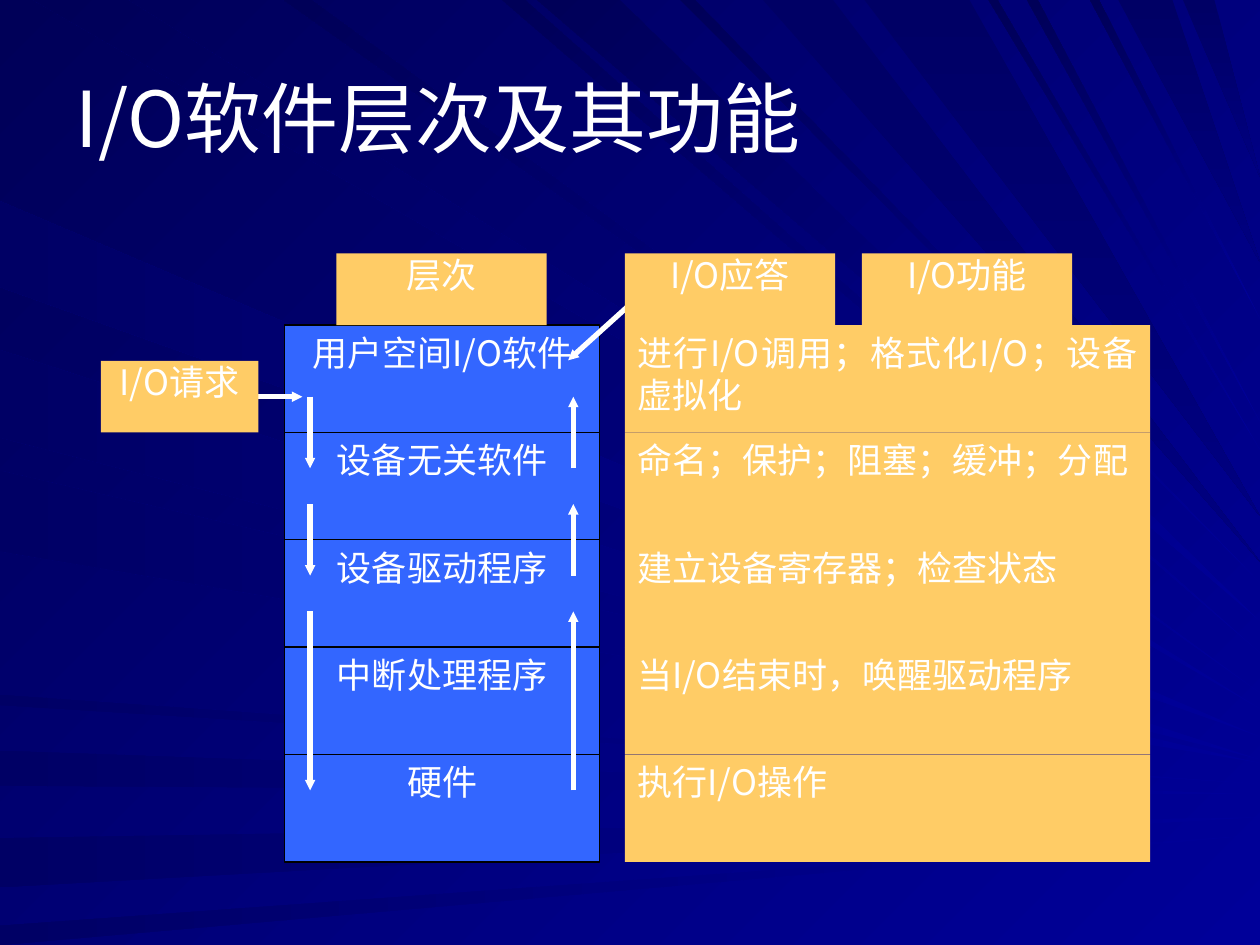
from dataclasses import dataclass
from typing import Optional

from lxml.etree import SubElement
from pptx import Presentation
from pptx.dml.color import RGBColor
from pptx.enum.shapes import MSO_CONNECTOR, MSO_SHAPE
from pptx.enum.text import MSO_ANCHOR, PP_ALIGN
from pptx.oxml.ns import qn
from pptx.util import Pt

COLOURS = {
    "text": "FFFFFF",
    "layer": "3366FF",
    "note": "FFCC66",
    "border": "000000",
    "bright": "000099",
    "navy": "000080",
    "dusk": "000065",
    "night": "000058",
}
TITLE_FONT = "Noto Sans CJK SC"
BODY_FONT = "Noto Sans CJK JP"

SLIDE_WIDTH, SLIDE_HEIGHT = 720, 540
ROW_TOP, ROW_HEIGHT = 185.8, 61.35
LAYER_LEFT, LAYER_WIDTH = 162.7, 180
NOTE_LEFT, NOTE_WIDTH = 357.1, 300.2
LABEL_HEIGHT, LABEL_WIDTH = 41, 120.2
DOWN_X, UP_X = 177.2, 327.6


@dataclass
class RayGroup:
    edge: str
    start: str
    end: str
    angle: int
    rays: list


@dataclass
class Box:
    text: str
    left: float
    top: float
    width: float
    height: float
    fill: str = "note"
    border: Optional[str] = None
    align: PP_ALIGN = PP_ALIGN.CENTER
    inset_x: float = 0
    inset_y: float = 0


@dataclass
class Arrow:
    x1: float
    y1: float
    x2: float
    y2: float


RAY_GROUPS = [
    RayGroup("top", "bright", "night", 135, [
        (19, 73, 405), (287, 300, 373), (307, 354, 355), (389, 397, 333),
        (162, 178, 396), (565, 570, 257), (587, 593, 241), (623, 628, 182),
    ]),
    RayGroup("left", "bright", "dusk", 180, [
        (115, 164, 421), (200, 250, 434), (269, 315, 436), (397, 403, 448),
        (429, 449, 454), (479, 507, 467), (529, 540, 477),
    ]),
    RayGroup("top", "dusk", "navy", 270, [
        (436, 476, 321), (494, 554, 295), (639, 670, 150), (676, 694, 101),
    ]),
]

ROWS = [
    ("用户空间I/O软件", "进行I/O调用；格式化I/O；设备虚拟化"),
    ("设备无关软件", "命名；保护；阻塞；缓冲；分配"),
    ("设备驱动程序", "建立设备寄存器；检查状态"),
    ("中断处理程序", "当I/O结束时，唤醒驱动程序"),
    ("硬件", "执行I/O操作"),
]
HEADINGS = [("层次", 192.2), ("I/O应答", NOTE_LEFT), ("I/O功能", 492.5)]
STEPS = [(0, 1), (1, 2), (2, 4)]


def colour(name: str) -> RGBColor:
    return RGBColor.from_string(COLOURS[name])


def apply_formats(target, formats: dict) -> None:
    for attribute, value in formats.items():
        setattr(target, attribute, value)


def paint_gradient(fill, start: str, end: str, angle: int) -> None:
    fill.gradient()
    fill.gradient_angle = angle
    for stop, name in zip(fill.gradient_stops, (start, end)):
        stop.color.rgb = colour(name)


def draw_rays(slide, group: RayGroup) -> None:
    for near, far, tip in group.rays:
        base = [(near, 0), (far, 0)] if group.edge == "top" else [(0, near), (0, far)]
        first, *rest = [(Pt(x), Pt(y)) for x, y in [*base, (SLIDE_WIDTH, tip)]]
        builder = slide.shapes.build_freeform(*first)
        builder.add_line_segments(rest, close=True)
        beam = builder.convert_to_shape()
        beam.shadow.inherit = False
        beam.line.fill.background()
        paint_gradient(beam.fill, group.start, group.end, group.angle)


def write(shape, text: str, align: PP_ALIGN, font: str, size: float) -> None:
    paragraph = shape.text_frame.paragraphs[0]
    paragraph.alignment = align
    run = paragraph.add_run()
    run.text = text
    apply_formats(run.font, {"name": font, "size": Pt(size), "bold": False})
    run.font.color.rgb = colour("text")
    for properties in shape.element.iter(qn("a:rPr")):
        SubElement(properties, qn("a:ea"), typeface=font)


def draw_box(slide, box: Box) -> None:
    lengths = [Pt(v) for v in (box.left, box.top, box.width, box.height)]
    panel = slide.shapes.add_shape(MSO_SHAPE.RECTANGLE, *lengths)
    panel.shadow.inherit = False
    panel.fill.solid()
    panel.fill.fore_color.rgb = colour(box.fill)
    if box.border:
        panel.line.color.rgb = colour(box.border)
        panel.line.width = Pt(0.75)
    else:
        panel.line.fill.background()
    apply_formats(panel.text_frame, {
        "word_wrap": True,
        "vertical_anchor": MSO_ANCHOR.TOP,
        "margin_left": Pt(box.inset_x),
        "margin_right": Pt(box.inset_x),
        "margin_top": Pt(box.inset_y),
        "margin_bottom": Pt(box.inset_y),
    })
    write(panel, box.text, box.align, BODY_FONT, 20)


def draw_arrow(slide, arrow: Arrow) -> None:
    ends = [Pt(v) for v in (arrow.x1, arrow.y1, arrow.x2, arrow.y2)]
    flow = slide.shapes.add_connector(MSO_CONNECTOR.STRAIGHT, *ends)
    flow.line.color.rgb = colour("text")
    flow.line.width = Pt(3)
    for outline in flow.element.iter(qn("a:ln")):
        SubElement(outline, qn("a:tailEnd"), type="triangle", w="sm", len="sm")
    SubElement(flow.element.spPr, qn("a:effectLst"))


def main() -> None:
    deck = Presentation()
    apply_formats(deck, {"slide_width": Pt(SLIDE_WIDTH), "slide_height": Pt(SLIDE_HEIGHT)})
    slide = deck.slides.add_slide(deck.slide_layouts[5])
    paint_gradient(slide.background.fill, "bright", "night", 135)
    for group in RAY_GROUPS:
        draw_rays(slide, group)

    title = slide.shapes.title
    title.element.getparent().append(title.element)
    apply_formats(title, {"left": Pt(36), "top": Pt(21.6), "width": Pt(648), "height": Pt(90)})
    title.text_frame.vertical_anchor = MSO_ANCHOR.MIDDLE
    write(title, "I/O软件层次及其功能", PP_ALIGN.LEFT, TITLE_FONT, 44)

    for row, (layer, note) in enumerate(ROWS):
        top = ROW_TOP + row * ROW_HEIGHT
        draw_box(slide, Box(layer, LAYER_LEFT, top, LAYER_WIDTH, ROW_HEIGHT,
                            "layer", "border", inset_x=7.2, inset_y=3.6))
        draw_box(slide, Box(note, NOTE_LEFT, top, NOTE_WIDTH, ROW_HEIGHT,
                            align=PP_ALIGN.JUSTIFY, inset_x=7.2, inset_y=3.6))

    for upper, lower in STEPS:
        start = ROW_TOP + (upper + 2 / 3) * ROW_HEIGHT
        end = ROW_TOP + (lower + 1 / 3) * ROW_HEIGHT
        draw_arrow(slide, Arrow(DOWN_X, start, DOWN_X, end))
        draw_arrow(slide, Arrow(UP_X, end, UP_X, start))
    draw_arrow(slide, Arrow(142.6, 226.7, 172.8, 226.7))
    draw_arrow(slide, Arrow(370.1, 164.9, 324.7, 205.9))

    for heading, left in HEADINGS:
        draw_box(slide, Box(heading, left, ROW_TOP - LABEL_HEIGHT, LABEL_WIDTH, LABEL_HEIGHT))
    draw_box(slide, Box("I/O请求", 57.6, 206.2, 90, LABEL_HEIGHT))
    deck.save("out.pptx")


if __name__ == "__main__":
    main()
